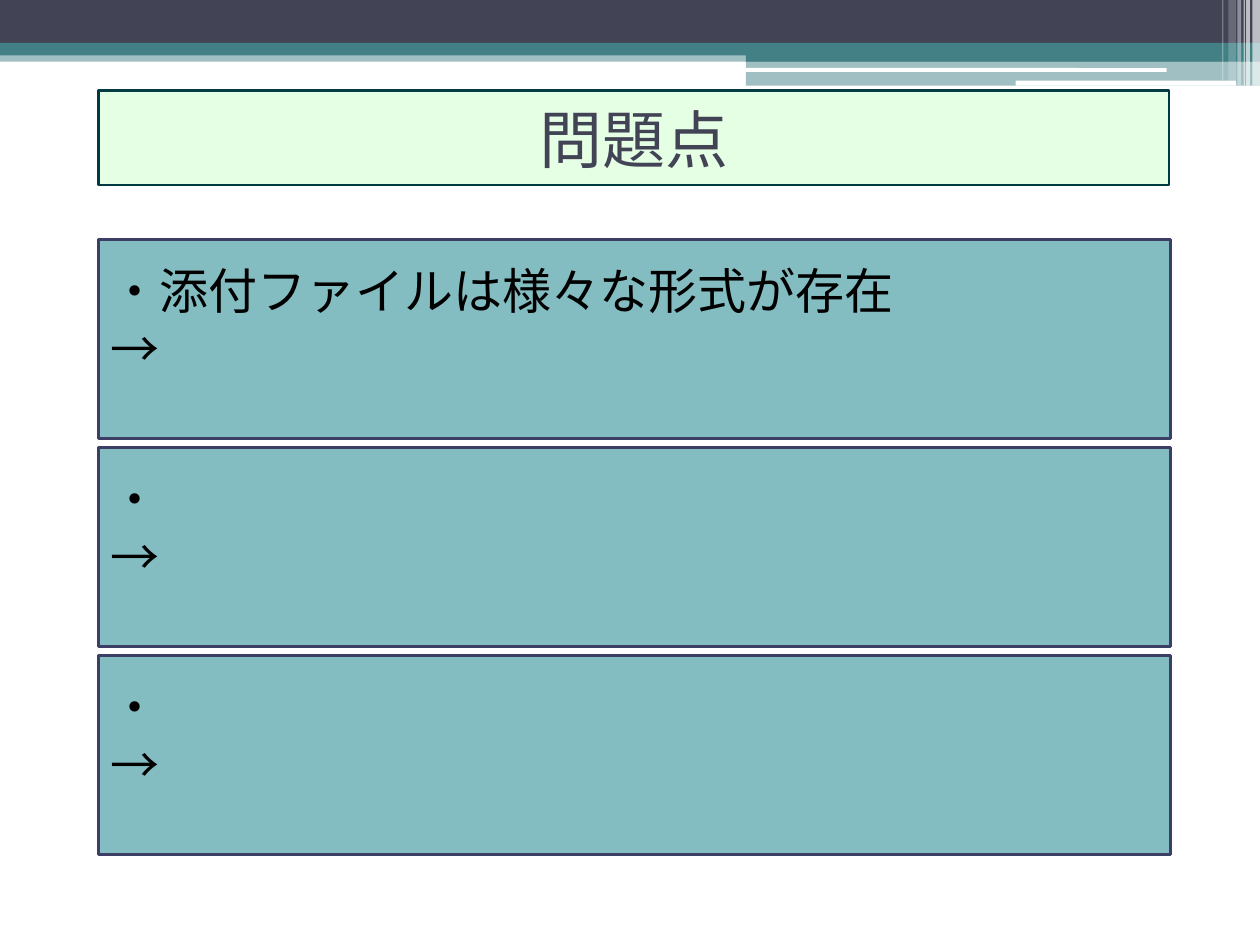
import pptx
import pptx.util
import pptx.dml.color
import pptx.enum.shapes
import pptx.enum.text
import lxml.etree

Inches = pptx.util.Inches
Pt = pptx.util.Pt
RGBColor = pptx.dml.color.RGBColor
KIND = pptx.enum.shapes.MSO_SHAPE
ALIGN = pptx.enum.text.PP_ALIGN
ANCHOR = pptx.enum.text.MSO_ANCHOR

WHITE = RGBColor(0xFF, 0xFF, 0xFF)
BLACK = RGBColor(0x00, 0x00, 0x00)
TEAL = RGBColor(0x43, 0x80, 0x86)
SLATE = RGBColor(0x42, 0x44, 0x56)
MINT = RGBColor(0xE5, 0xFF, 0xE5)
PINE = RGBColor(0x00, 0x3A, 0x42)
AQUA = RGBColor(0x83, 0xBC, 0xC1)
INDIGO = RGBColor(0x3D, 0x3E, 0x66)
FONT = "Noto Sans CJK JP"

deck = pptx.Presentation()
deck.slide_width = Inches(10)
deck.slide_height = Inches(7.5)
slide = deck.slides.add_slide(deck.slide_layouts[6])


def add_box(place, color, alpha=100, edge=None, kind=KIND.RECTANGLE):
    box = slide.shapes.add_shape(kind, *[Inches(n) for n in place])
    box.shadow.inherit = False
    box.fill.solid()
    box.fill.fore_color.rgb = color
    if alpha < 100:
        tint = box.fill._xPr.find(".//" + pptx.oxml.ns.qn("a:srgbClr"))
        node = lxml.etree.SubElement(tint, pptx.oxml.ns.qn("a:alpha"))
        node.set("val", str(alpha * 1000))
    if edge is None:
        box.line.fill.background()
    else:
        box.line.color.rgb = edge
        box.line.width = Pt(1.5)
    return box


def add_text(box, lines, frame, para, size, color):
    for name, value in frame.items():
        setattr(box.text_frame, name, value)
    box.text_frame.text = "\n".join(lines)
    for item in box.text_frame.paragraphs:
        for name, value in para.items():
            setattr(item, name, value)
        run = item.runs[0]
        look = {"size": Pt(size), "name": FONT}
        for name, value in look.items():
            setattr(run.font, name, value)
        run.font.color.rgb = color
        east = lxml.etree.SubElement(run._r.get_or_add_rPr(), pptx.oxml.ns.qn("a:ea"))
        east.set("typeface", FONT)


bands = [
    ((0, 0.4, 10, 0.09), TEAL, 50),
    ((0, 0, 10, 0.34), SLATE, 100),
    ((0, 0.34, 10, 0.1), TEAL, 100),
    ((5.92, 0.39, 4.08, 0.1), TEAL, 100),
    ((5.92, 0.48, 4.08, 0.2), TEAL, 50),
]
for place, color, alpha in bands:
    add_box(place, color, alpha)

for place in [(5.91, 0.54, 3.35, 0.03), (8.06, 0.64, 1.75, 0.04)]:
    add_box(place, WHITE, kind=KIND.ROUNDED_RECTANGLE)

stripes = [
    (9.94, 0.06, 0.68, 65),
    (9.89, 0.03, 0.68, 65),
    (9.87, 0.01, 0.68, 60),
    (9.82, 0.03, 0.68, 40),
    (9.75, 0.06, 0.64, 20),
    (9.7, 0.01, 0.64, 30),
]
for left, width, height, alpha in stripes:
    add_box((left, 0, width, height), WHITE, alpha)

title = add_box((0.78, 0.72, 8.5, 0.75), MINT, edge=PINE)
add_text(title, ["問題点"],
         {"word_wrap": True, "vertical_anchor": ANCHOR.MIDDLE},
         {"alignment": ALIGN.CENTER}, 36, SLATE)

frame = {"word_wrap": True, "vertical_anchor": ANCHOR.TOP, "margin_top": Inches(0.18)}
para = {"alignment": ALIGN.LEFT, "line_spacing": Pt(33)}
points = ["・添付ファイルは様々な形式が存在", "・", "・"]
for row, point in enumerate(points):
    panel = add_box((0.78, 1.9 + row * 1.65, 8.51, 1.58), AQUA, edge=INDIGO)
    add_text(panel, [point, "→"], frame, para, 28, BLACK)

deck.save("out.pptx")
